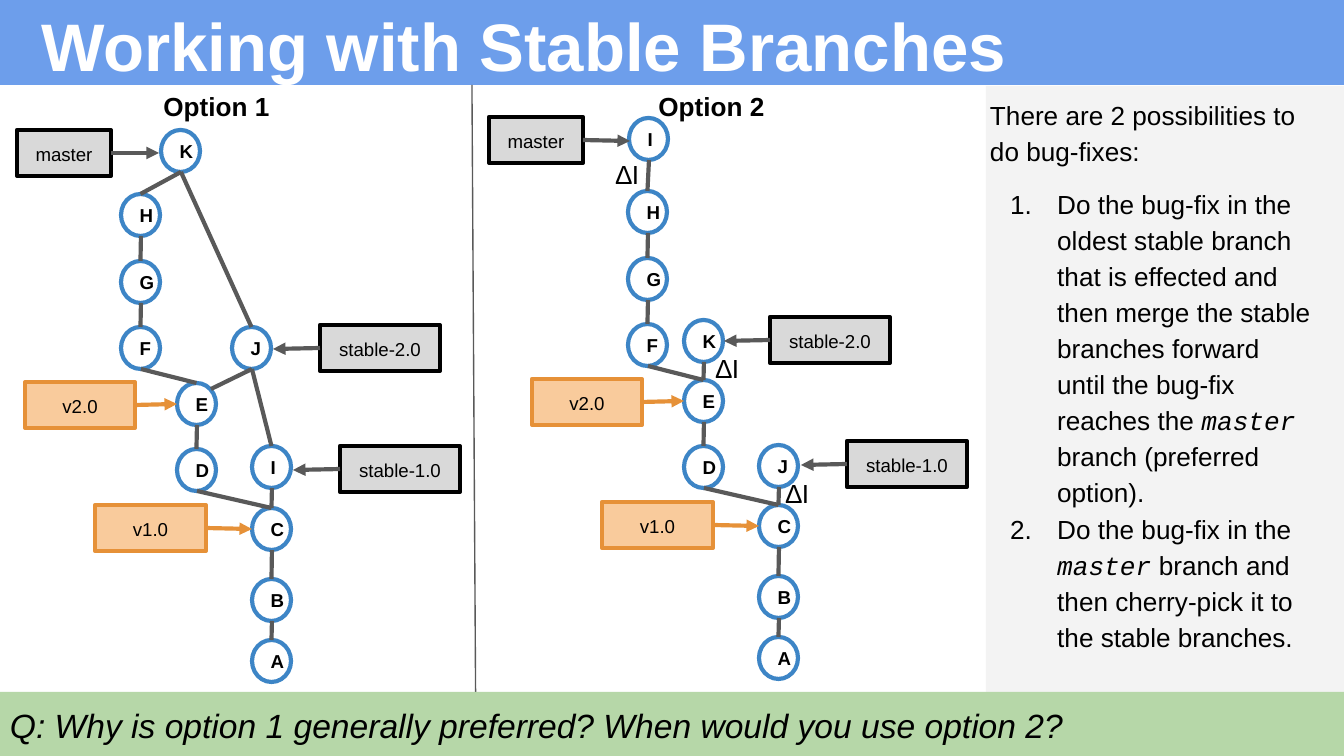
from lxml import etree
from pptx import Presentation
from pptx.dml.color import RGBColor
from pptx.enum.shapes import MSO_CONNECTOR, MSO_SHAPE
from pptx.enum.text import MSO_ANCHOR, MSO_AUTO_SIZE, PP_ALIGN
from pptx.oxml.ns import qn
from pptx.util import Pt

PX = 6804  # EMU per px, 134.4 px to the inch
INSET = 13 * PX
GREY, BLACK, ORANGE, BLUE = "595959", "000000", "E69138", "3D85C6"
NODE_WIDTH, NODE_HEIGHT, TAG_HEIGHT = 39, 42, 46
color = RGBColor.from_string

presentation = Presentation()
presentation.slide_width = 1344 * PX
presentation.slide_height = 756 * PX
slide = presentation.slides.add_slide(presentation.slide_layouts[1])


def add_box(x, y, width, height, kind=None, fill=None, line=None, text="", size=10,
            bold=False, italic=False, align=PP_ALIGN.LEFT, anchor=MSO_ANCHOR.TOP):
    """Add a preset shape, or a text box when no kind is given."""
    frame = (x * PX, y * PX, width * PX, height * PX)
    shape = slide.shapes.add_shape(kind, *frame) if kind else slide.shapes.add_textbox(*frame)
    shape.shadow.inherit = False
    if fill:
        shape.fill.solid()
        shape.fill.fore_color.rgb = color(fill)
    else:
        shape.fill.background()
    if line:
        shape.line.color.rgb = color(line)
        shape.line.width = Pt(2.25)
    else:
        shape.line.fill.background()
    if text:
        text_frame = shape.text_frame
        text_frame.text = text
        text_frame.word_wrap = True
        text_frame.vertical_anchor = anchor
        text_frame.margin_left = text_frame.margin_right = INSET
        text_frame.margin_top = text_frame.margin_bottom = INSET
        paragraph = text_frame.paragraphs[0]
        paragraph.alignment = align
        font = paragraph.runs[0].font
        font.name, font.size, font.bold, font.italic = "Arial", Pt(size), bold, italic
        font.color.rgb = color(BLACK)
    return shape


def add_line(start, end, line=GREY, width=2.25, arrow=False):
    connector = slide.shapes.add_connector(
        MSO_CONNECTOR.STRAIGHT, *(value * PX for value in (*start, *end)))
    connector.line.color.rgb = color(line)
    connector.line.width = Pt(width)
    if arrow:
        etree.SubElement(connector.line._get_or_add_ln(), qn("a:tailEnd"), type="triangle")
    etree.SubElement(connector.element.spPr, qn("a:effectLst"))
    return connector


# Title on its blue band
title = slide.shapes.title
band = add_box(0, 0, 1345, 85, MSO_SHAPE.RECTANGLE, fill="6D9EEB")
title.element.addprevious(band.element)
title.left, title.top, title.width, title.height = 28 * PX, -13 * PX, 1202 * PX, 111 * PX
title.text_frame.text = "Working with Stable Branches"
title.text_frame.vertical_anchor = MSO_ANCHOR.BOTTOM
title.text_frame.paragraphs[0].alignment = PP_ALIGN.LEFT
title_font = title.text_frame.paragraphs[0].runs[0].font
title_font.name, title_font.size, title_font.bold = "Arial", Pt(36), True
title_font.color.rgb = color("FFFFFF")

# Explanation on its grey panel
body = slide.placeholders[1]
panel = add_box(986, 86, 358, 671, MSO_SHAPE.RECTANGLE, fill="F3F3F3")
body.element.addprevious(panel.element)
body.left, body.top, body.width, body.height = 977 * PX, 82 * PX, 351 * PX, 593 * PX
for text_frame in (title.text_frame, body.text_frame):
    text_frame.auto_size = MSO_AUTO_SIZE.NONE
    text_frame.word_wrap = True
    text_frame.margin_left = text_frame.margin_right = INSET
    text_frame.margin_top = text_frame.margin_bottom = INSET

# (runs, space before, numbered)
explanation = [
    (["There are 2 possibilities to do bug-fixes:"], 9, False),
    (["Do the bug-fix in the oldest stable branch that is effected and then merge the "
      "stable branches forward until the bug-fix reaches the ", "master",
      " branch (preferred option)."], 9, True),
    (["Do the bug-fix in the ", "master",
      " branch and then cherry-pick it to the stable branches."], 0, True),
]
for index, (texts, space_before, numbered) in enumerate(explanation):
    paragraph = body.text_frame.paragraphs[0] if index == 0 else body.text_frame.add_paragraph()
    paragraph.alignment = PP_ALIGN.LEFT
    paragraph.line_spacing = 1.15
    paragraph.space_before = Pt(space_before)
    paragraph.space_after = Pt(0)
    for text in texts:
        run = paragraph.add_run()
        run.text = text
        is_code = text == "master"
        run.font.name = "Courier New" if is_code else "Arial"
        run.font.size, run.font.italic = Pt(14), is_code
        run.font.color.rgb = color(BLACK)
    properties = paragraph._p.get_or_add_pPr()
    properties.set("marL", "457200" if numbered else "0")
    properties.set("indent", "-320040" if numbered else "0")
    if numbered:
        bullet_color = etree.SubElement(properties, qn("a:buClr"))
        etree.SubElement(bullet_color, qn("a:srgbClr"), val=BLACK)
        etree.SubElement(properties, qn("a:buFont"), typeface="Arial")
        etree.SubElement(properties, qn("a:buAutoNum"), type="arabicPeriod")
    else:
        etree.SubElement(properties, qn("a:buNone"))

# Divider and change labels
add_line((472, 85), (476, 757), width=0.75)
for x, y in [(773, 464), (703, 339), (603, 145)]:
    add_box(x, y, 73, 51, text="∆I", size=14)

# History shared by both options: commits as (centre x, top)
trunk_commits = {"A": (272, 640), "B": (272, 579), "C": (272, 508), "D": (197, 449),
                 "E": (197, 383), "F": (141, 327), "G": (141, 261), "H": (141, 194)}
trunk_links = ["BA", "CB", "DC", "ED", "FE", "GF", "HG"]
# Tags as (text, x, y, width, arrow tip)
trunk_tags = [("v1.0", 95, 505, 111, (252, 529)), ("v2.0", 25, 382, 110, (177, 404))]

options = [
    {"name": "Option 1", "title_x": 78, "shift": (0, 0),
     "commits": {"I": (272, 446), "J": (252, 327), "K": (181, 130)},
     "links": ["KH", "KJ", "JI", "IC"],
     "branches": [("master", 17, 130, 94, (159, 153)),
                  ("stable-2.0", 320, 325, 120, (273, 349)),
                  ("stable-1.0", 340, 446, 120, (293, 470))]},
    {"name": "Option 2", "title_x": 573, "shift": (507, -3),
     "commits": {"I": (649, 118), "J": (779, 445), "K": (704, 320)},
     "links": ["IH", "KE", "JC"],
     "branches": [("master", 489, 117, 94, (630, 141)),
                  ("stable-2.0", 770, 317, 120, (724, 341)),
                  ("stable-1.0", 847, 441, 120, (801, 465))]},
]

for option in options:
    shift_x, shift_y = option["shift"]
    add_box(option["title_x"], 77, 277, 67, text=option["name"], size=14, bold=True,
            align=PP_ALIGN.CENTER)

    # Commits
    commits = {name: (x + shift_x, y + shift_y) for name, (x, y) in trunk_commits.items()}
    commits.update(option["commits"])
    nodes = {}
    for name, (x, y) in commits.items():
        nodes[name] = add_box(x - 20, y, NODE_WIDTH, NODE_HEIGHT, MSO_SHAPE.OVAL, line=BLUE,
                              text=name, bold=True, align=PP_ALIGN.CENTER,
                              anchor=MSO_ANCHOR.MIDDLE)

    # Links from each commit down to its parent
    for child, parent in trunk_links + option["links"]:
        x, y = commits[child]
        link = add_line((x, y + NODE_HEIGHT), commits[parent])
        link.end_connect(nodes[parent], 0)

    # Version tags and branch names with their arrows
    tags = [(text, x + shift_x, y + shift_y, width, (tip_x + shift_x, tip_y + shift_y),
             "F9CB9C", ORANGE, ORANGE) for text, x, y, width, (tip_x, tip_y) in trunk_tags]
    tags += [(*branch, "D9D9D9", BLACK, GREY) for branch in option["branches"]]
    for text, x, y, width, tip, fill, outline, arrow_color in tags:
        tag = add_box(x, y, width, TAG_HEIGHT, MSO_SHAPE.RECTANGLE, fill, outline, text,
                      align=PP_ALIGN.CENTER)
        points_right = tip[0] > x
        start = (x + width if points_right else x, y + TAG_HEIGHT // 2)
        arrow = add_line(start, tip, arrow_color, arrow=True)
        arrow.begin_connect(tag, 3 if points_right else 1)

# Merge link of option 1, from J to the upper right of E
add_line((252, 369), (211, 389))

# Question
add_box(0, 692, 1344, 64, MSO_SHAPE.RECTANGLE, fill="B6D7A8")
add_box(-3, 692, 1317, 64, size=18, italic=True,
        text="Q: Why is option 1 generally preferred? When would you use option 2?")

presentation.save("out.pptx")
